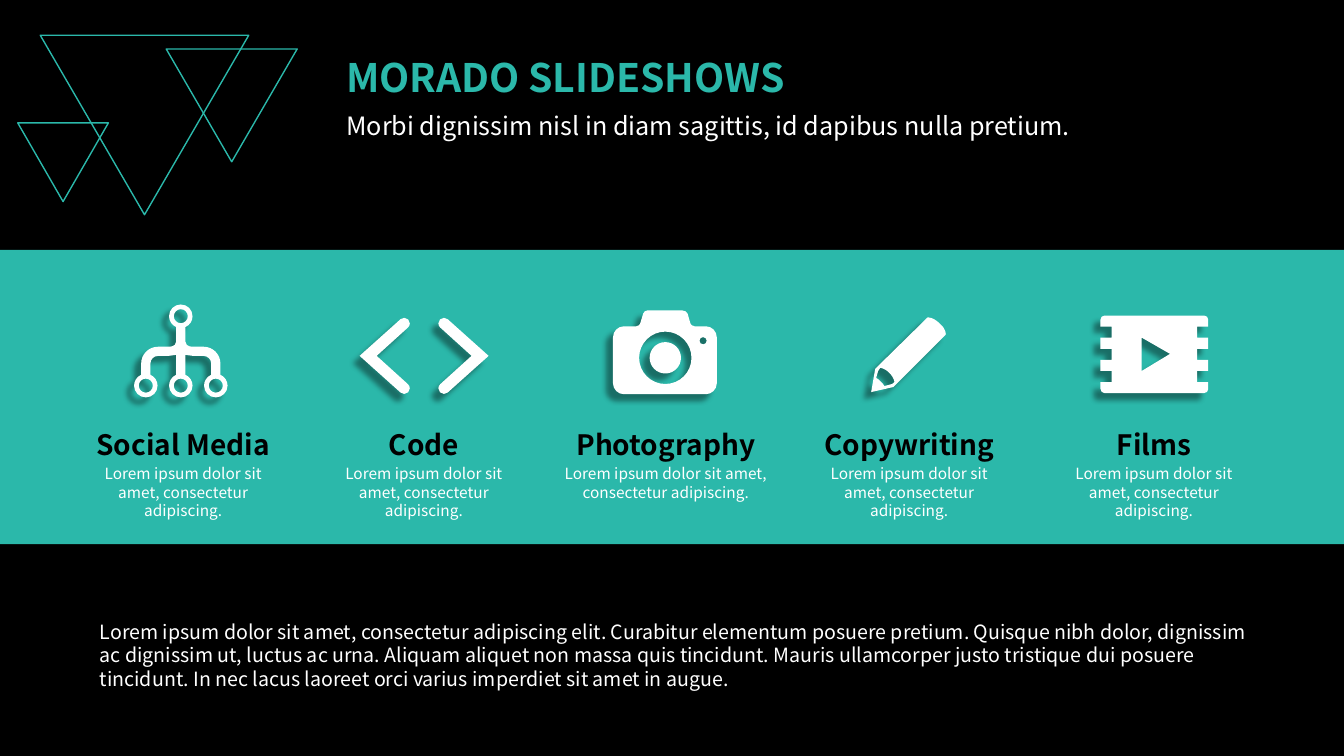
from math import ceil, cos, floor, radians, sin, tan

from lxml.etree import SubElement
from pptx import Presentation
from pptx.dml.color import RGBColor
from pptx.enum.shapes import MSO_SHAPE as Shape
from pptx.enum.text import PP_ALIGN as Align
from pptx.oxml.ns import qn
from pptx.util import Pt

FONT = "Noto Sans CJK SC"
TEAL, WHITE, BLACK = "2BB8AA", "FFFFFF", "000000"
BLURB = "Lorem ipsum dolor sit amet, consectetur adipiscing."
SUMMARY = (
    "Lorem ipsum dolor sit amet, consectetur adipiscing elit. Curabitur elementum "
    "posuere pretium. Quisque nibh dolor, dignissim ac dignissim ut, luctus ac urna. "
    "Aliquam aliquet non massa quis tincidunt. Mauris ullamcorper justo tristique dui "
    "posuere tincidunt. In nec lacus laoreet orci varius imperdiet sit amet in augue."
)


def color(hex_code):
    return RGBColor.from_string(hex_code)


def paint(shape, fill=None, line=None):
    shape.shadow.inherit = False
    if fill:
        shape.fill.solid()
        shape.fill.fore_color.rgb = color(fill)
    else:
        shape.fill.background()
    if line:
        shape.line.color.rgb = color(line)
        shape.line.width = Pt(1)
    else:
        shape.line.fill.background()


def cast_shadow(shape):
    effects = shape.element.spPr.find(qn("a:effectLst"))
    shadow = SubElement(effects, qn("a:outerShdw"), blurRad=str(Pt(4)), dist=str(Pt(7)),
                        dir="8100000", algn="tr", rotWithShape="0")
    tint = SubElement(shadow, qn("a:srgbClr"), val=BLACK)
    SubElement(tint, qn("a:alpha"), val="40000")


def add_text_box(slide, left, top, width, height):
    frame = slide.shapes.add_textbox(Pt(left), Pt(top), Pt(width), Pt(height)).text_frame
    frame.word_wrap = True
    return frame


def write(paragraph, text, size, hue=WHITE, bold=False, align=Align.LEFT, before=0):
    paragraph.alignment = align
    paragraph.space_before = Pt(before)
    run = paragraph.add_run()
    run.text = text
    run.font.name = FONT
    run.font.size = Pt(size)
    run.font.bold = bold
    run.font.color.rgb = color(hue)


def arc(cx, cy, radius, start=0, end=360):
    low, high = sorted((start, end))
    quarters = range(90 * (floor(low / 90) + 1), 90 * ceil(high / 90), 90)
    stops = sorted([low, *quarters, high], reverse=end < start)
    nodes = [(cx + radius * cos(radians(start)), cy + radius * sin(radians(start)))]
    for begin, finish in zip(stops, stops[1:]):
        a, b = radians(begin), radians(finish)
        pull = 4 / 3 * tan((b - a) / 4)
        nodes.append((
            cx + radius * (cos(a) - pull * sin(a)), cy + radius * (sin(a) + pull * cos(a)),
            cx + radius * (cos(b) + pull * sin(b)), cy + radius * (sin(b) - pull * cos(b)),
            cx + radius * cos(b), cy + radius * sin(b)))
    return nodes


def network_icon():
    nodes = [(33.4, 8.4), (8.4, 58), (33.4, 58), (58.4, 58)]
    left_node, middle_node, right_node = [arc(x, y, 8.4, -67, 247) for x, y in nodes[1:]]
    outline = [
        *arc(*nodes[0], 8.4, 113, 427), (36.65, 26.5), (36.65, 28, 37.5, 30.2, 42.5, 30.2),
        *arc(49.7, 42.2, 12, -90, 0), *right_node, *arc(49.7, 42.2, 5.4, 0, -90),
        (42.5, 36.8), (36.65, 36), *middle_node, (30.15, 36), (24.3, 36.8),
        *arc(17.1, 42.2, 5.4, -90, -180), *left_node, *arc(17.1, 42.2, 12, 180, 270),
        (24.3, 30.2), (29.3, 30.2, 30.15, 28, 30.15, 26.5),
    ]
    return [outline] + [arc(x, y, 5) for x, y in nodes]


def code_icon():
    chevron = [(0, 28.1), *arc(31.9, 4.9, 4, -132, 48), (12.2, 28.1),
               *arc(31.9, 51.3, 4, -48, 132)]
    mirrored = [tuple(v if i % 2 else 92.2 - v for i, v in enumerate(node))
                for node in chevron]
    return [chevron, mirrored]


def camera_icon():
    body = [
        *arc(7.9, 19.2, 7.9, 180, 270), (16.6, 11.3), (18, 11.3, 19.4, 10, 19.4, 9.4),
        (21.6, 2.2), (22.3, 0.7, 23, 0, 24.5, 0), (49.7, 0), (51, 0, 52.6, 0.7, 53.3, 2.2),
        (55.4, 9.4), (55.4, 10, 56.9, 11.3, 58.3, 11.3), *arc(66.3, 19.2, 7.9, 270, 360),
        *arc(66.3, 51.9, 7.9, 0, 90), *arc(7.9, 51.9, 7.9, 90, 180),
    ]
    return [body, arc(37.4, 33.8, 18.7), arc(37.4, 33.8, 11.2), arc(64.4, 21.6, 2.6)]


def pencil_icon():
    body = [(49, 5), (54, 9.4, 53.3, 13, 53.3, 13), (15.8, 50.4), (0, 54), (2.9, 37.4),
            (40.3, 0.7), (40.3, 0.7, 43.9, 0, 49, 5)]
    tip = [(15.1, 48.2), (9.4, 49.7), (8.6, 49, 8.6, 47.5, 7.2, 46.8),
           (5.8, 45.4, 5, 44.6, 3.6, 43.9), (5, 38.9), (6.5, 36.7),
           (6.5, 36.7, 9.4, 36.7, 13, 40.3), (16.6, 43.9, 16.6, 46.8, 16.6, 46.8)]
    return [body, tip]


def film_icon():
    width, height, notch, corner = 77, 55.4, 7.92, 2.9
    perforation = []
    for i in range(1, 7):
        sides = (0, notch) if i % 2 else (notch, 0)
        perforation += [(x, i * notch) for x in sides]
    strip = [
        *arc(width - corner, corner, corner, 270, 360),
        *[(width - x, y) for x, y in perforation],
        *arc(width - corner, height - corner, corner, 0, 90),
        *arc(corner, height - corner, corner, 90, 180),
        *reversed(perforation), *arc(corner, corner, corner, 180, 270),
    ]
    return [strip, [(29.5, 15.8), (29.5, 39.6), (49.7, 27.4)]]


def draw_icon(slide, left, top, contours):
    def place(x, y):
        return Pt(left + x), Pt(top + y)

    first, *others = contours
    builder = slide.shapes.build_freeform(*place(*first[0]))
    builder.add_line_segments([place(*node[-2:]) for node in first[1:]], close=True)
    for contour in others:
        builder.move_to(*place(*contour[0]))
        builder.add_line_segments([place(*node[-2:]) for node in contour[1:]], close=True)
    icon = builder.convert_to_shape()
    segments = list(icon.element.iter(qn("a:lnTo")))
    nodes = [node for contour in contours for node in contour[1:]]
    for segment, node in zip(segments, nodes):
        if len(node) == 6:
            segment.tag = qn("a:cubicBezTo")
            for i, start in enumerate((0, 2)):
                x, y = place(*node[start:start + 2])
                handle = segment.makeelement(
                    qn("a:pt"), {"x": str(x - icon.left), "y": str(y - icon.top)})
                segment.insert(i, handle)
    paint(icon, fill=WHITE)
    cast_shadow(icon)


def draw_header(slide, left, top, width):
    triangles = [(28.8, 25.2, 149, 128.2), (118.8, 35, 93.6, 80.6), (12.7, 87.8, 64.8, 56.2)]
    for x, y, w, h in triangles:
        triangle = slide.shapes.add_shape(
            Shape.ISOSCELES_TRIANGLE, Pt(left + x), Pt(top + y), Pt(w), Pt(h))
        triangle.element.spPr.xfrm.set("flipV", "1")
        paint(triangle, line=TEAL)
    text_left = left + 240.5
    title = add_text_box(slide, text_left, top + 34.2, 409.7, 41)
    write(title.paragraphs[0], "MORADO SLIDESHOWS", 28, hue=TEAL, bold=True)
    subtitle = add_text_box(slide, text_left, top + 75.6, width - 280, 28.8)
    write(subtitle.paragraphs[0],
          "Morbi dignissim nisl in diam sagittis, id dapibus nulla pretium.", 18)


def draw_services(slide, left, top, width, height):
    band = slide.shapes.add_shape(Shape.RECTANGLE, Pt(left), Pt(top), Pt(width), Pt(height))
    paint(band, fill=TEAL)
    cast_shadow(band)
    services = [
        ("Social Media", 59, 144, network_icon, 95.8, 39.1),
        ("Code", 231.3, 143.3, code_icon, 257, 47.7),
        ("Photography", 386.2, 179.3, camera_icon, 438.1, 43.4),
        ("Copywriting", 576.7, 146.2, pencil_icon, 622.6, 47.7),
        ("Films", 751.3, 146.9, film_icon, 786.5, 47),
    ]
    for name, label_x, label_width, icon, icon_x, icon_y in services:
        label = add_text_box(slide, left + label_x, top + 123.5, label_width, 57.6)
        write(label.paragraphs[0], name, 20, hue=BLACK, bold=True, align=Align.CENTER)
        write(label.add_paragraph(), BLURB, 11, align=Align.CENTER, before=2.2)
        draw_icon(slide, left + icon_x, top + icon_y, icon())


def draw_summary(slide, left, top, width, height):
    summary = add_text_box(slide, left, top, width, height)
    write(summary.paragraphs[0], SUMMARY, 14)


def main():
    deck = Presentation()
    deck.slide_width, deck.slide_height = Pt(960.5), Pt(540)
    slide = deck.slides.add_slide(deck.slide_layouts[6])
    slide.background.fill.solid()
    slide.background.fill.fore_color.rgb = color(BLACK)
    draw_header(slide, 0, 0, 960.5)
    draw_services(slide, 0, 178.4, 960.5, 210.2)
    draw_summary(slide, 64.3, 439.2, 839.5, 64.1)
    deck.save("out.pptx")


if __name__ == "__main__":
    main()
